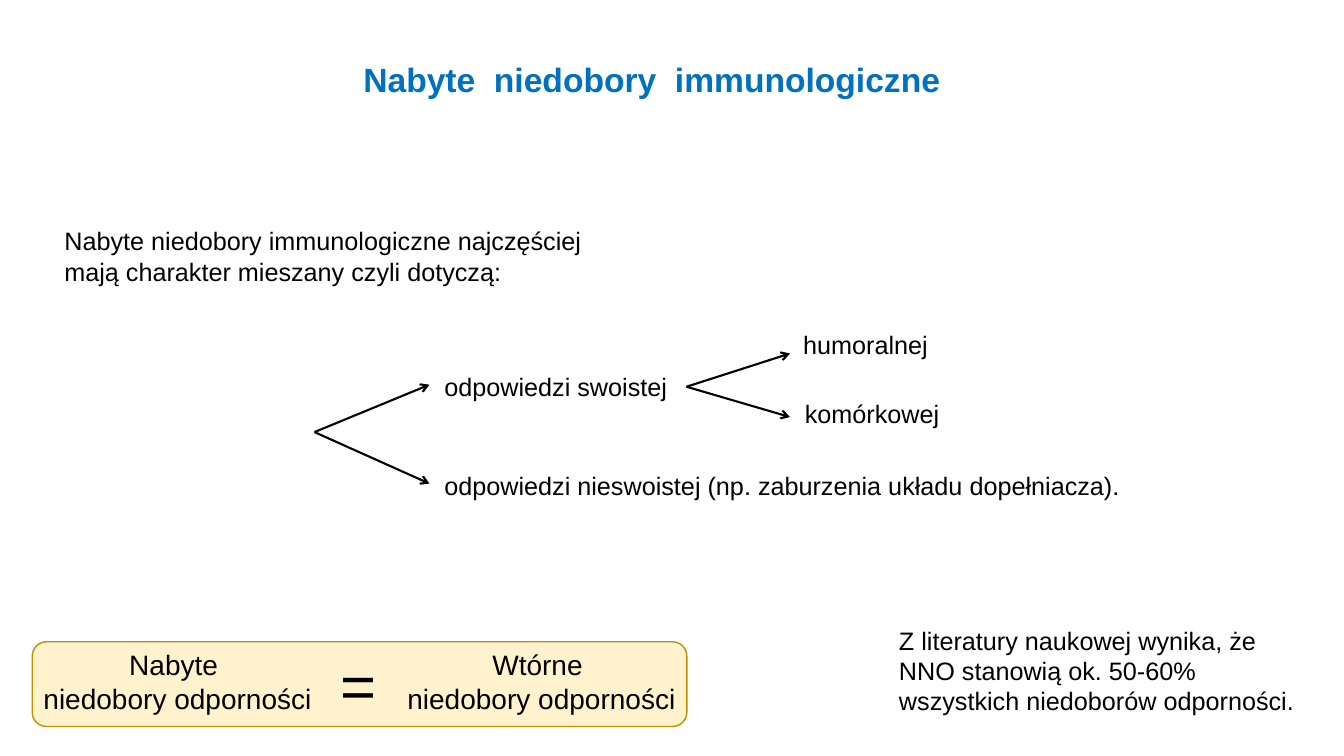
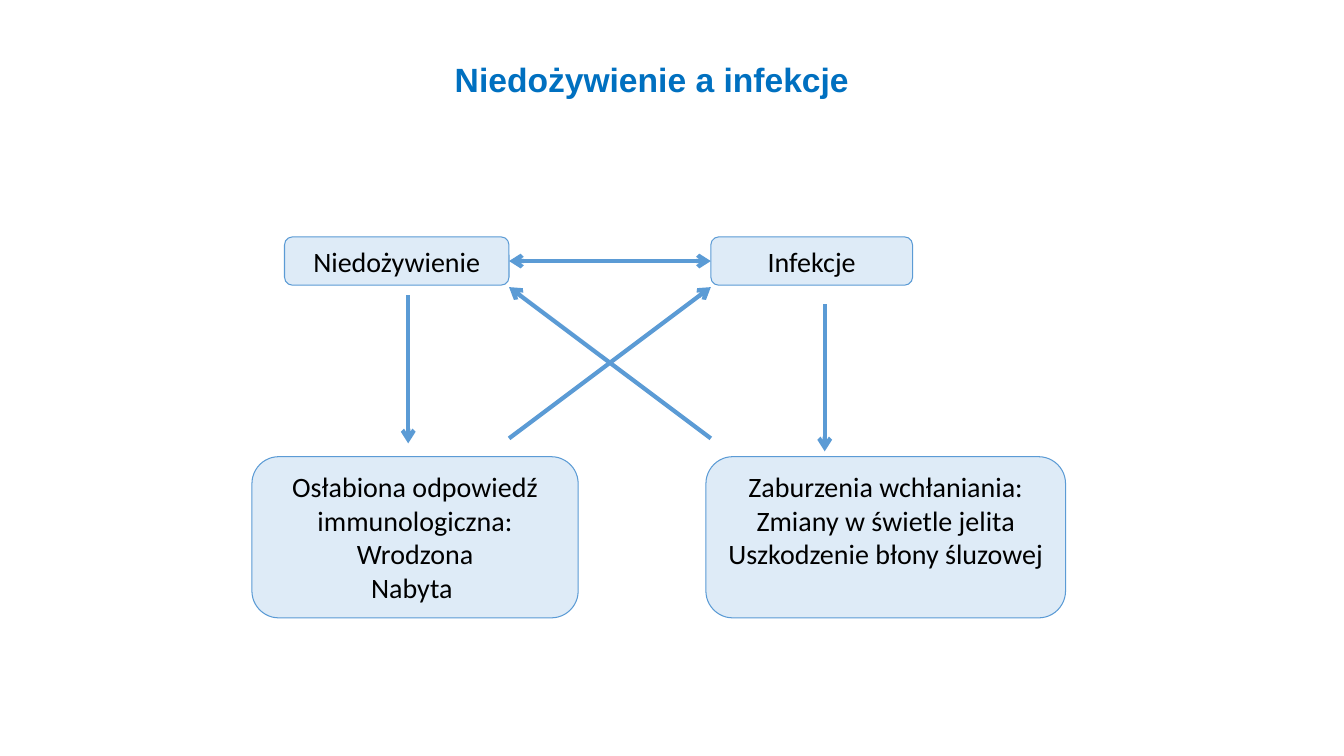
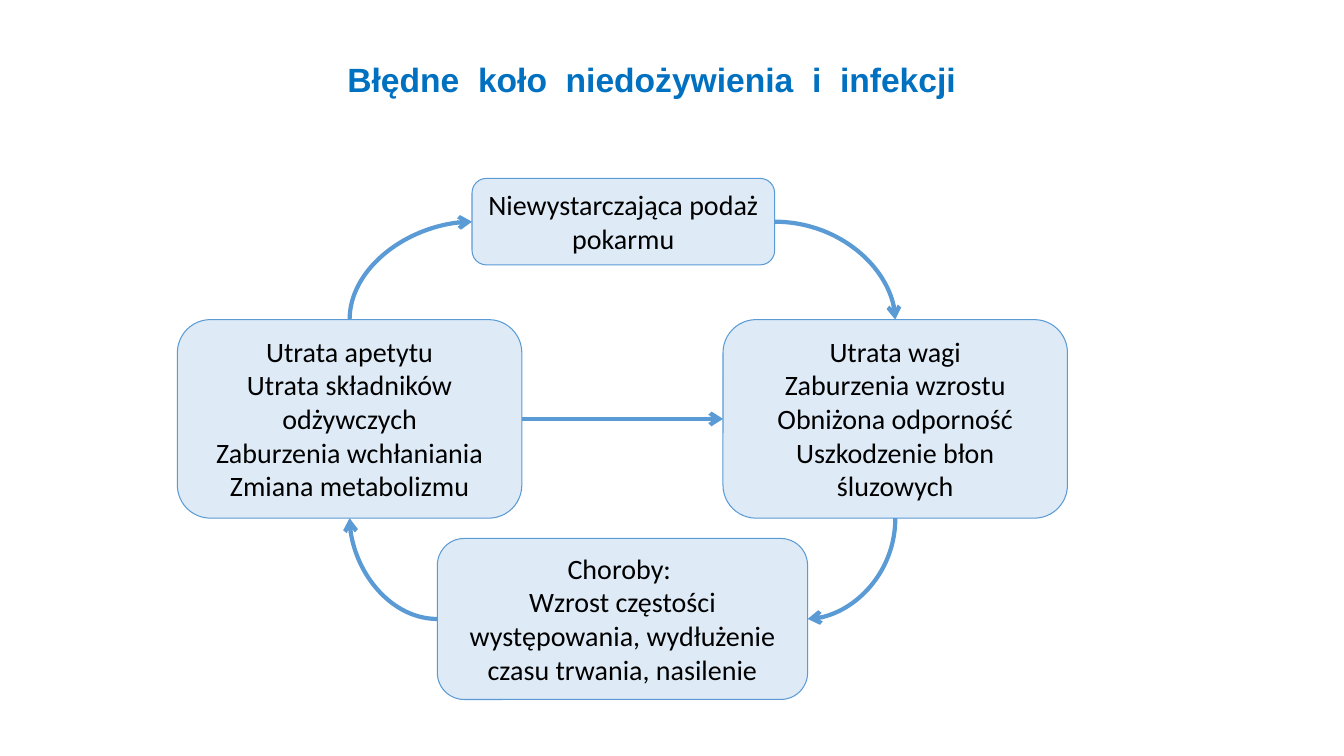
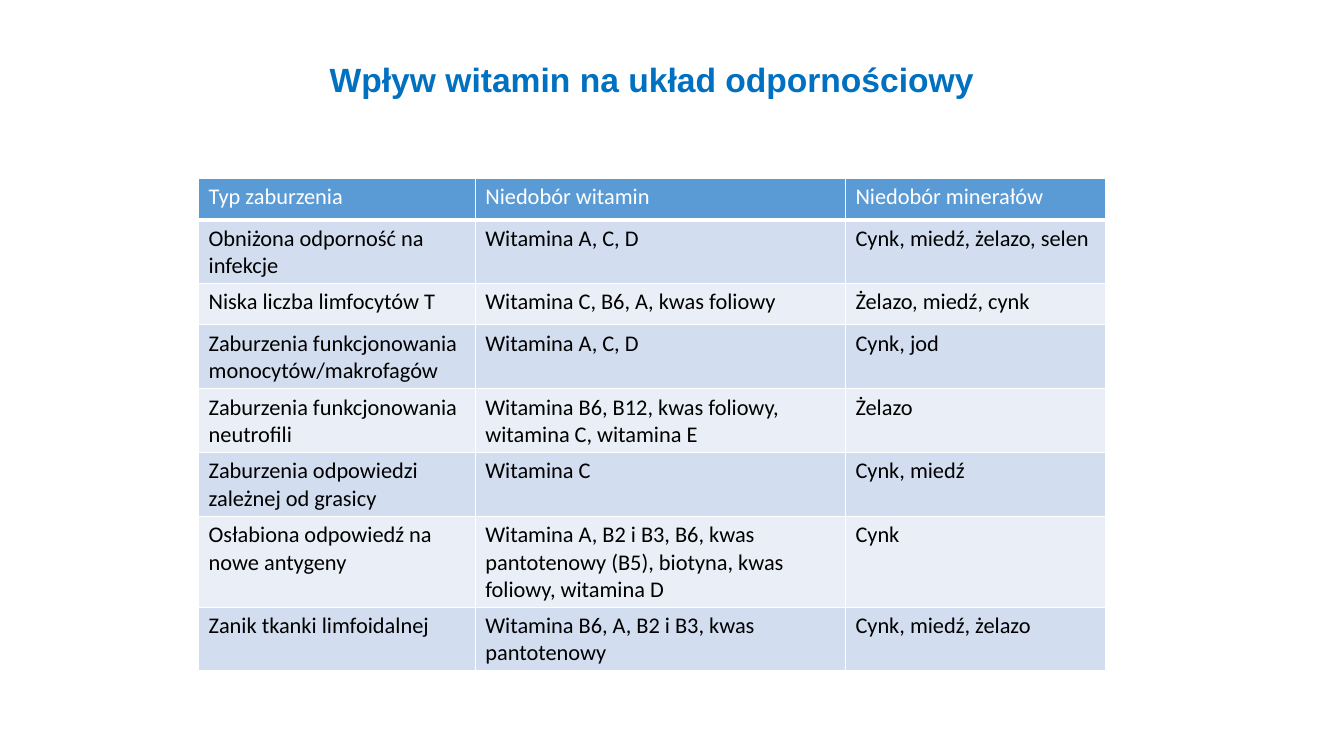
import collections

import lxml.etree
import pptx
import pptx.dml.color
import pptx.enum.shapes
import pptx.enum.text
import pptx.oxml.ns
import pptx.util

RGB = pptx.dml.color.RGBColor
SHAPE = pptx.enum.shapes.MSO_SHAPE
CONNECTOR = pptx.enum.shapes.MSO_CONNECTOR
ALIGN = pptx.enum.text.PP_ALIGN
ANCHOR = pptx.enum.text.MSO_ANCHOR
AUTO_SIZE = pptx.enum.text.MSO_AUTO_SIZE
qn = pptx.oxml.ns.qn

BLACK = RGB(0x00, 0x00, 0x00)
WHITE = RGB(0xFF, 0xFF, 0xFF)
TITLE_BLUE = RGB(0x00, 0x70, 0xC0)
BLUE = RGB(0x5B, 0x9B, 0xD5)
PALE_BLUE = RGB(0xDE, 0xEB, 0xF7)
CREAM = RGB(0xFF, 0xF2, 0xCC)
GOLD = RGB(0xBF, 0x90, 0x00)
BAND_DARK = RGB(0xD2, 0xDE, 0xEF)
BAND_LIGHT = RGB(0xEA, 0xEF, 0xF7)

TOP, LEFT, BOTTOM, RIGHT = range(4)


class Box(collections.namedtuple("Box", "x y w h")):
    """A region in inches, divided into a grid of 100 columns and 100 rows."""

    def point(self, col, row):
        """Return a grid point in inches."""
        return self.x + self.w * col / 100, self.y + self.h * row / 100

    def area(self, col, row, cols, rows):
        """Return the box that spans some columns and rows of the grid."""
        return Box(*self.point(col, row), self.w * cols / 100, self.h * rows / 100)

    def lengths(self):
        """Return the position and size as lengths."""
        return [pptx.util.Inches(v) for v in self]


SLIDE = Box(0, 0, 13.33, 7.5)


def write(tf, *lines, size=18, font="Arial", color=BLACK, bold=False, align=ALIGN.LEFT):
    """Write one paragraph per line in a text frame."""
    for i, line in enumerate(lines):
        p = tf.add_paragraph() if i else tf.paragraphs[0]
        p.alignment = align
        r = p.add_run()
        r.text = line
        r.font.size = pptx.util.Pt(size)
        r.font.name = font
        r.font.bold = bold
        r.font.color.rgb = color


def label(s, box, *lines, wrap=False, **style):
    """Add a text box."""
    tf = s.shapes.add_textbox(*box.lengths()).text_frame
    tf.word_wrap = wrap
    tf.auto_size = AUTO_SIZE.SHAPE_TO_FIT_TEXT
    write(tf, *lines, **style)


def rounded(s, box, *lines, fill=PALE_BLUE, line=BLUE, width=0.75):
    """Add a rounded box with centred text and return it."""
    sp = s.shapes.add_shape(SHAPE.ROUNDED_RECTANGLE, *box.lengths())
    sp.shadow.inherit = False
    sp.fill.solid()
    sp.fill.fore_color.rgb = fill
    sp.line.color.rgb = line
    sp.line.width = pptx.util.Pt(width)
    tf = sp.text_frame
    tf.word_wrap = True
    tf.vertical_anchor = ANCHOR.TOP
    write(tf, *lines, size=20, font="Calibri", align=ALIGN.CENTER)
    return sp


def arrow(s, start=(0, 0), end=(0, 0), kind=CONNECTOR.STRAIGHT, color=BLUE, width=3,
          ends=("tailEnd",)):
    """Add a connector with open arrowheads and return it."""
    points = [pptx.util.Inches(v) for v in (*start, *end)]
    c = s.shapes.add_connector(kind, *points)
    c.line.color.rgb = color
    c.line.width = pptx.util.Pt(width)
    ln = c.line._get_or_add_ln()
    for tag in ends:
        lxml.etree.SubElement(ln, qn("a:" + tag), type="arrow")
    lxml.etree.SubElement(c._element.spPr, qn("a:effectLst"))
    return c


def link(s, first, first_site, second, second_site, curved=False, **style):
    """Join two shapes with an arrow, straight or as a quarter curve."""
    c = arrow(s, kind=CONNECTOR.CURVE if curved else CONNECTOR.STRAIGHT, **style)
    c.begin_connect(first, first_site)
    c.end_connect(second, second_site)
    if curved:
        c._element.spPr.find(qn("a:prstGeom")).set("prst", "curvedConnector2")


def titled_slide(prs, title):
    """Add a blank slide with the shared title."""
    s = prs.slides.add_slide(prs.slide_layouts[6])
    label(s, SLIDE.area(12.5, 7.2, 72, 6.7), title, wrap=True, size=24,
          color=TITLE_BLUE, bold=True, align=ALIGN.CENTER)
    return s


def response_tree(s, box):
    """Draw the branching kinds of immune response."""
    for col, row, cols, text in [
        (14.6, 23.3, 30.7, "odpowiedzi swoistej"),
        (14.6, 77.8, 85.4, "odpowiedzi nieswoistej (np. zaburzenia układu dopełniacza)."),
        (58.3, 0, 17.8, "humoralnej"),
        (58.5, 38.3, 19, "komórkowej"),
    ]:
        label(s, box.area(col, row, cols, 22.2), text)
    for root, col, rows in [((0, 59.4), 14, (33.3, 87.8)),
                            ((45.3, 34.4), 57.9, (16.1, 51.1))]:
        for row in rows:
            arrow(s, box.point(*root), box.point(col, row), color=BLACK, width=1.5)


def equation(s, box):
    """Draw the framed equality of two terms."""
    rounded(s, box, fill=CREAM, line=GOLD, width=1)
    for col, term in [(0, "Nabyte "), (55.6, "Wtórne ")]:
        label(s, box.area(col, 1, 44.4, 92), term, "niedobory odporności",
              size=20, align=ALIGN.CENTER)
    label(s, box.area(45.6, 0, 8.6, 100), "=", size=44)


def cross_diagram(s, box):
    """Draw malnutrition and infections with their crossed effects."""
    malnutrition = rounded(s, box.area(4, 0, 27.6, 12.7), "Niedożywienie")
    infections = rounded(s, box.area(56.4, 0, 24.8, 12.7), "Infekcje")
    rounded(s, box.area(0, 57.7, 40.1, 42.3),
            "Osłabiona odpowiedź immunologiczna:", "Wrodzona", "Nabyta ")
    rounded(s, box.area(55.8, 57.7, 44.2, 42.3), "Zaburzenia wchłaniania:",
            "Zmiany w świetle jelita", "Uszkodzenie błony śluzowej")
    link(s, malnutrition, RIGHT, infections, LEFT, ends=("headEnd", "tailEnd"))
    for start, end in [((19.2, 15.3), (19.2, 54.2)), ((70.4, 17.7), (70.4, 56.3)),
                       ((31.6, 52.9), (56.4, 13.2)), ((56.4, 52.9), (31.6, 13.2))]:
        arrow(s, box.point(*start), box.point(*end))


def vicious_circle(s, box):
    """Draw the cycle of four boxes joined by curved arrows."""
    appetite = rounded(s, box.area(0, 27.1, 38.7, 38.1), "Utrata apetytu",
                       "Utrata składników odżywczych", "Zaburzenia wchłaniania",
                       "Zmiana metabolizmu")
    weight = rounded(s, box.area(61.3, 27.1, 38.7, 38.1), "Utrata wagi",
                     "Zaburzenia wzrostu", "Obniżona odporność",
                     "Uszkodzenie błon śluzowych")
    illness = rounded(s, box.area(29.2, 69.1, 41.6, 30.9), "Choroby: ",
                      "Wzrost częstości występowania, wydłużenie czasu trwania, nasilenie")
    food = rounded(s, box.area(33.1, 0, 34, 16.6), "Niewystarczająca podaż pokarmu")
    for first, side, second, edge, end in [
        (food, LEFT, appetite, TOP, "headEnd"),
        (food, RIGHT, weight, TOP, "tailEnd"),
        (illness, RIGHT, weight, BOTTOM, "headEnd"),
        (illness, LEFT, appetite, BOTTOM, "tailEnd"),
    ]:
        link(s, first, side, second, edge, curved=True, ends=(end,))
    link(s, appetite, RIGHT, weight, LEFT)


def cell_borders(cell, bottom):
    """Give a cell white borders."""
    tc_pr = cell._tc.get_or_add_tcPr()
    for side, width in [("L", 1), ("R", 1), ("T", 1), ("B", bottom)]:
        ln = lxml.etree.SubElement(tc_pr, qn("a:ln" + side), w=str(pptx.util.Pt(width)))
        fill = lxml.etree.SubElement(ln, qn("a:solidFill"))
        lxml.etree.SubElement(fill, qn("a:srgbClr"), val=str(WHITE))


def banded_table(s, box, rows, widths, heights):
    """Add a table with a header and alternating bands."""
    table = s.shapes.add_table(len(rows), len(widths), *box.lengths()).table
    for column, share in zip(table.columns, widths):
        column.width = pptx.util.Inches(box.w * share / 100)
    for row, share in zip(table.rows, heights):
        row.height = pptx.util.Inches(box.h * share / 100)
    for i, texts in enumerate(rows):
        band = BAND_DARK if i % 2 else BAND_LIGHT
        for j, text in enumerate(texts):
            cell = table.cell(i, j)
            cell_borders(cell, 1 if i else 3)
            cell.fill.solid()
            cell.fill.fore_color.rgb = band if i else BLUE
            write(cell.text_frame, text, size=16, font="Calibri",
                  color=BLACK if i else WHITE)


VITAMINS = [
    ("Typ zaburzenia", "Niedobór witamin", "Niedobór minerałów"),
    ("Obniżona odporność na infekcje", "Witamina A, C, D", "Cynk, miedź, żelazo, selen"),
    ("Niska liczba limfocytów T", "Witamina C, B6, A, kwas foliowy", "Żelazo, miedź, cynk"),
    ("Zaburzenia funkcjonowania monocytów/makrofagów", "Witamina A, C, D", "Cynk, jod"),
    ("Zaburzenia funkcjonowania neutrofili",
     "Witamina B6, B12, kwas foliowy, witamina C, witamina E", "Żelazo"),
    ("Zaburzenia odpowiedzi zależnej od grasicy", "Witamina C", "Cynk, miedź"),
    ("Osłabiona odpowiedź na nowe antygeny",
     "Witamina A, B2 i B3, B6, kwas pantotenowy (B5), biotyna, kwas foliowy, witamina D",
     "Cynk"),
    ("Zanik tkanki limfoidalnej", "Witamina B6, A, B2 i B3, kwas pantotenowy",
     "Cynk, miedź, żelazo"),
]


def main():
    """Build the four slides."""
    prs = pptx.Presentation()
    prs.slide_width, prs.slide_height = SLIDE.lengths()[2:]

    s = titled_slide(prs, "Nabyte  niedobory  immunologiczne")
    label(s, SLIDE.area(4.05, 29.2, 40.4, 9.5),
          "Nabyte niedobory immunologiczne najczęściej mają charakter mieszany czyli dotyczą:",
          wrap=True)
    response_tree(s, SLIDE.area(23.4, 42.9, 61.1, 24))
    equation(s, SLIDE.area(2.4, 84.9, 48.7, 11.2))
    label(s, SLIDE.area(66.15, 82, 31.6, 13.5),
          "Z literatury naukowej wynika, że NNO stanowią ok. 50-60% "
          "wszystkich niedoborów odporności.", wrap=True)

    s = titled_slide(prs, "Niedożywienie a infekcje")
    cross_diagram(s, SLIDE.area(18.75, 31.33, 60.53, 50.4))

    s = titled_slide(prs, "Błędne  koło  niedożywienia  i  infekcji")
    vicious_circle(s, SLIDE.area(13.2, 23.6, 66.23, 68.93))

    s = titled_slide(prs, "Wpływ witamin na układ odpornościowy")
    banded_table(s, SLIDE.area(14.78, 23.6, 67.5, 65.07), VITAMINS,
                 widths=(30.5, 40.8, 28.7),
                 heights=(8.4, 12.9, 8.4, 12.9, 12.9, 12.9, 18.4, 12.9))

    prs.save("out.pptx")


if __name__ == "__main__":
    main()
